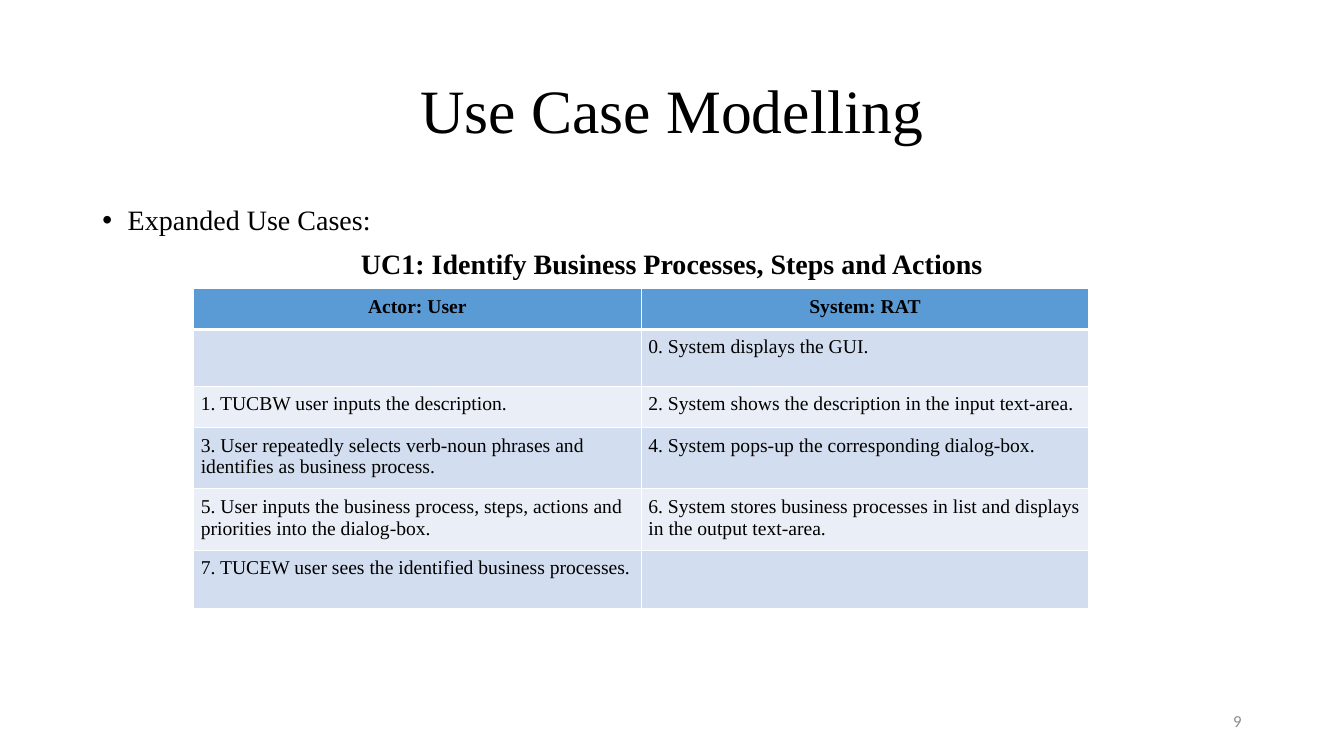
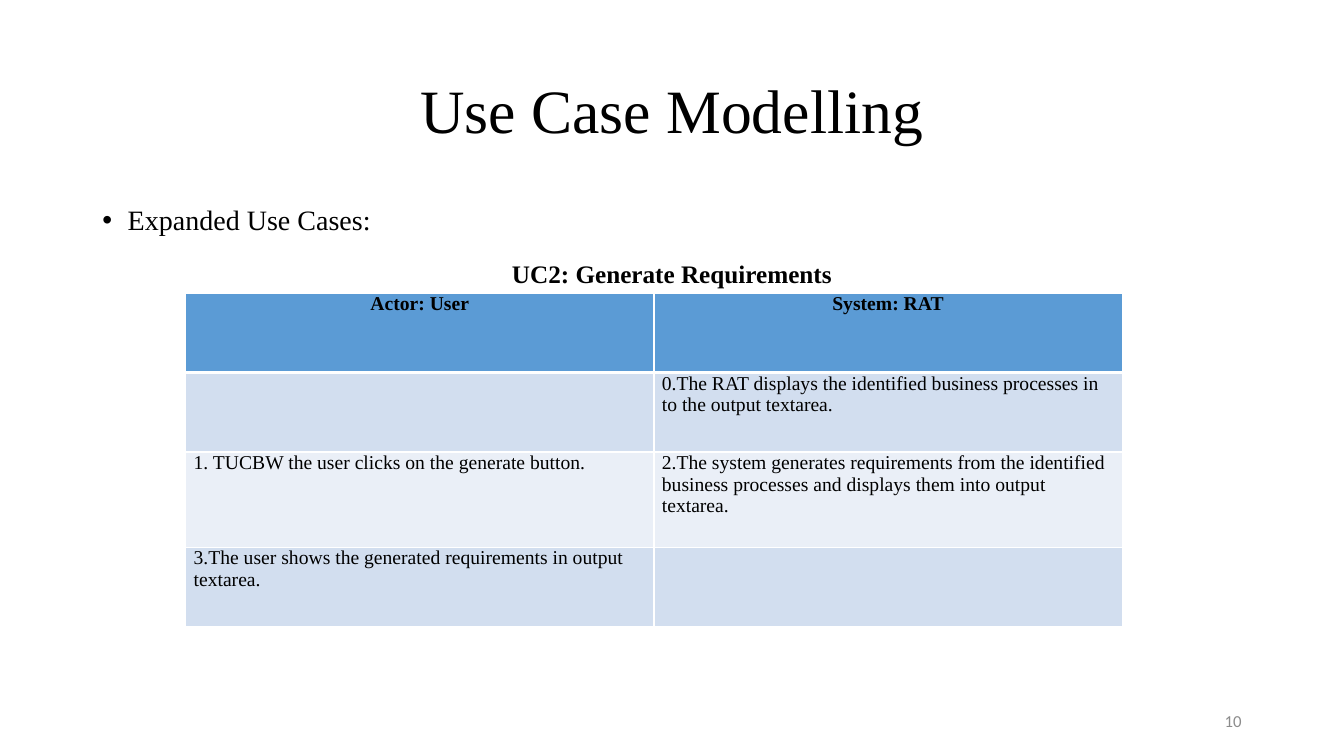
"""Build two use case slides, each with a heading and a table of steps."""
from lxml.etree import SubElement
from pptx import Presentation
from pptx.dml.color import RGBColor
from pptx.enum.text import MSO_ANCHOR, PP_ALIGN
from pptx.oxml.ns import qn
from pptx.util import Cm, Pt

SERIF, SANS = "Times New Roman", "Calibri"
BLACK, WHITE, GREY = "000000", "FFFFFF", "8C8C8C"
BLUE, BANDS = "5B9BD5", ("EAEFF7", "D2DEEF")
LEFT, WIDTH = 2.33, 29.21
HEADS = ("Actor: User", "System: RAT")

STEPS_ONE = [
    ("", "0. System displays the GUI."),
    ("1. TUCBW user inputs the description.",
     "2. System shows the description in the input text-area."),
    ("3. User repeatedly selects verb-noun phrases and identifies as business process.",
     "4. System pops-up the corresponding dialog-box."),
    ("5. User inputs the business process, steps, actions and priorities into the dialog-box.",
     "6. System stores business processes in list and displays in the output text-area."),
    ("7. TUCEW user sees the identified business processes.", ""),
]
STEPS_TWO = [
    ("", "0.The RAT displays the identified business processes in to the output textarea."),
    ("1. TUCBW the user clicks on the generate button.",
     "2.The system generates requirements from the identified business processes "
     "and displays them into output textarea."),
    ("3.The user shows the generated requirements in output textarea.", ""),
]


def tint(code):
    return RGBColor.from_string(code)


def write(para, text, size, align=PP_ALIGN.LEFT, bold=False, face=SERIF, color=BLACK):
    para.text = text
    para.alignment = align
    font = para.font
    font.name, font.size, font.bold = face, Pt(size), bold
    font.color.rgb = tint(color)


def add_box(slide, left, top, width, height, anchor=MSO_ANCHOR.TOP):
    frame = slide.shapes.add_textbox(Cm(left), Cm(top), Cm(width), Cm(height)).text_frame
    frame.word_wrap = True
    frame.vertical_anchor = anchor
    return frame


def add_bullet(para):
    props = para._p.get_or_add_pPr()
    props.set("marL", str(Cm(0.64)))
    props.set("indent", str(-Cm(0.64)))
    SubElement(props, qn("a:buFont"), typeface="Arial")
    SubElement(props, qn("a:buChar"), char="•")


def space(para):
    para.line_spacing = 0.9
    para.space_before = Pt(10)


def add_edges(cell, base):
    props = cell._tc.get_or_add_tcPr()
    for spot, (side, points) in enumerate((("L", 1), ("R", 1), ("T", 1), ("B", base))):
        line = props.makeelement(qn("a:ln" + side), {"w": str(Pt(points))})
        fill = SubElement(line, qn("a:solidFill"))
        SubElement(fill, qn("a:srgbClr"), val=WHITE)
        props.insert(spot, line)


def fill_cell(cell, text, row, pad):
    head = row == 0
    cell.margin_left = cell.margin_right = Cm(pad[0])
    cell.margin_top = cell.margin_bottom = Cm(pad[1])
    cell.fill.solid()
    cell.fill.fore_color.rgb = tint(BLUE if head else BANDS[row % 2])
    add_edges(cell, 3 if head else 1)
    write(cell.text_frame.paragraphs[0], text, 14,
          PP_ALIGN.CENTER if head else PP_ALIGN.LEFT, head)


def add_steps(slide, steps, left, top, column, heights, pad):
    rows = [HEADS, *steps]
    table = slide.shapes.add_table(len(rows), len(HEADS), Cm(left), Cm(top),
                                   Cm(column * len(HEADS)), Cm(sum(heights))).table
    table.horz_banding = False
    for part in table.columns:
        part.width = Cm(column)
    for row, (texts, height) in enumerate(zip(rows, heights)):
        table.rows[row].height = Cm(height)
        for col, text in enumerate(texts):
            fill_cell(table.cell(row, col), text, row, pad)


def add_page(deck, number):
    """Add a slide with the shared title, bullet and number; return it and its body."""
    slide = deck.slides.add_slide(deck.slide_layouts[6])
    title = add_box(slide, LEFT, 1.01, WIDTH, 3.68, MSO_ANCHOR.MIDDLE).paragraphs[0]
    write(title, "Use Case Modelling", 44, PP_ALIGN.CENTER)
    title.line_spacing = 0.9
    body = add_box(slide, LEFT, 5.07, WIDTH, 12.09)
    point = body.paragraphs[0]
    write(point, "Expanded Use Cases:", 20)
    space(point)
    add_bullet(point)
    foot = add_box(slide, 23.92, 17.65, 7.62, 1.01, MSO_ANCHOR.MIDDLE)
    write(foot.paragraphs[0], str(number), 12, PP_ALIGN.RIGHT, face=SANS, color=GREY)
    return slide, body


def main():
    deck = Presentation()
    deck.slide_width, deck.slide_height = Cm(33.87), Cm(19.05)

    slide, body = add_page(deck, 9)
    label = body.add_paragraph()
    write(label, "UC1: Identify Business Processes, Steps and Actions", 20,
          PP_ALIGN.CENTER, True)
    space(label)
    add_steps(slide, STEPS_ONE, 4.88, 7.27, 11.28,
              (1.03, 1.43, 1.04, 1.47, 1.47, 1.47), (0.18, 0.18))

    slide, body = add_page(deck, 10)
    add_steps(slide, STEPS_TWO, 4.68, 7.39, 11.8, (2, 2, 2.4, 2), (0.2, 0))
    label = add_box(slide, LEFT, 6.38, WIDTH, 1.01).paragraphs[0]
    write(label, "UC2: Generate Requirements", 18, PP_ALIGN.CENTER, True)

    deck.save("out.pptx")


if __name__ == "__main__":
    main()
